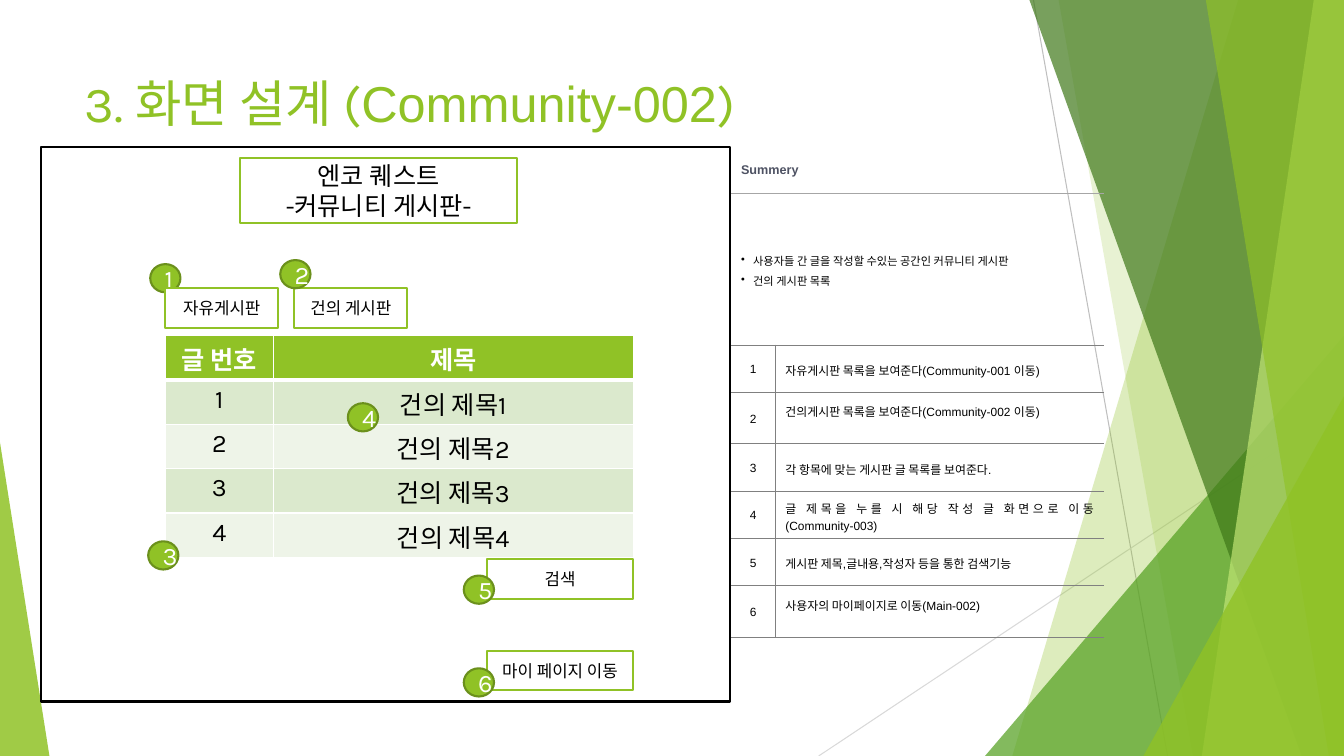
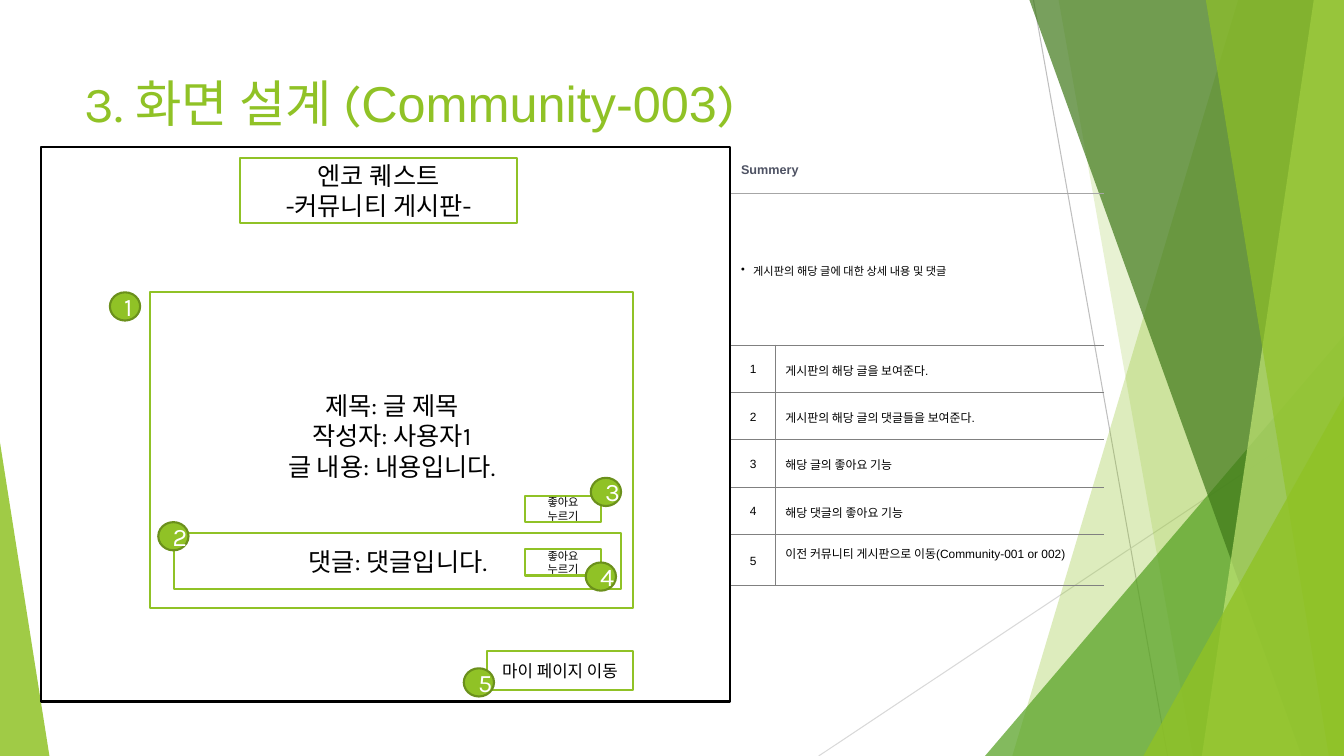
"""Build two screen design slides with a wireframe and a summary table each."""
from dataclasses import dataclass
from typing import Any

from lxml.etree import SubElement
from pptx import Presentation
from pptx.dml.color import RGBColor
from pptx.enum.shapes import MSO_CONNECTOR, MSO_SHAPE
from pptx.enum.text import MSO_ANCHOR, PP_ALIGN
from pptx.oxml.ns import qn
from pptx.slide import Slide, SlideLayout
from pptx.util import Emu, Pt

SCALE = 9144
GREEN, DARK_GREEN, WHITE, BLACK = "90C226", "6B901C", "FFFFFF", "000000"
GRAY, LIGHT_GRAY, SLATE = "808080", "A6A6A6", "4E5263"
STRIPES = ("DBE9CD", "EEF4E8")
KARLA, ARIAL = "Karla", "Arial"
NO_STYLE = "{2D5ABB26-0587-4C30-8999-92F81FD0307C}"
PLAIN_TABLE = {"first_row": False, "horz_banding": False}


@dataclass(frozen=True)
class Ray:
    start: tuple[int, int]
    end: tuple[int, int]
    color: str


@dataclass(frozen=True)
class Band:
    top_left: int
    bottom_left: int
    color: str
    opacity: int


@dataclass(frozen=True)
class Wedge:
    left: int
    top: int
    width: int
    height: int
    tip: float
    color: str
    opacity: int


@dataclass(frozen=True)
class Box:
    left: int
    top: int
    width: int
    height: int
    lines: tuple[str, ...] = ()
    size: int = 18
    lift: int = 0
    outline: str = GREEN


@dataclass(frozen=True)
class Badge:
    number: int
    left: int
    top: int


@dataclass(frozen=True)
class Grid:
    left: int
    top: int
    columns: tuple[int, ...]
    row_height: int
    rows: tuple[tuple[str, str], ...]


@dataclass(frozen=True)
class Note:
    text: str
    raised: bool = False


@dataclass(frozen=True)
class Page:
    code: str
    summary: tuple[str, ...]
    notes: tuple[Note, ...]
    items: tuple[Box | Badge | Grid, ...]


DECORATION = (
    Ray((1025, 0), (1158, 750), "BFBFBF"),
    Ray((1333, 403), (812, 750), "D9D9D9"),
    Band(1228, 1004, GREEN, 30),
    Band(1050, 1183, GREEN, 20),
    Wedge(977, 333, 356, 417, 1, "54A021", 72),
    Band(1021, 1291, "3F7819", 70),
    Band(1303, 1192, "C0E474", 70),
    Band(1196, 1318, GREEN, 65),
    Wedge(1134, 393, 199, 357, 1, GREEN, 80),
    Wedge(0, 439, 49, 311, 0, GREEN, 85),
)
FRAME = Box(41, 146, 683, 550, outline=BLACK)
HEADING = Box(238, 157, 275, 64, ("엔코 퀘스트", "-커뮤니티 게시판-"))
MY_PAGE = Box(483, 646, 145, 39, ("마이 페이지 이동",), 12)
LIKE = ("좋아요 누르기",)

PAGES = (
    Page(
        "Community-002",
        ("사용자들 간 글을 작성할 수있는 공간인 커뮤니티 게시판", "건의 게시판 목록"),
        (
            Note("자유게시판 목록을 보여준다(Community-001 이동)"),
            Note("건의게시판 목록을 보여준다(Community-002 이동)", True),
            Note("각 항목에 맞는 게시판 글 목록를 보여준다."),
            Note("글 제목을 누를 시 해당 작성 글 화면으로 이동(Community-003)"),
            Note("게시판 제목,글내용,작성자 등을 통한 검색기능"),
            Note("사용자의 마이페이지로 이동(Main-002)", True),
        ),
        (
            Badge(1, 149, 262),
            Box(164, 286, 112, 39, ("자유게시판",), 12),
            Box(292, 286, 112, 39, ("건의 게시판",), 12),
            Grid(164, 333, (107, 357), 44,
                 (("글 번호", "제목"), *((f"{n}", f"건의 제목{n}") for n in range(1, 5)))),
            Badge(2, 278, 258),
            Badge(3, 147, 537),
            MY_PAGE,
            Badge(6, 460, 663),
            Box(483, 555, 145, 39, ("검색",), 12),
            Badge(5, 460, 571),
            Badge(4, 345, 400),
        ),
    ),
    Page(
        "Community-003",
        ("게시판의 해당 글에 대한 상세 내용 및 댓글",),
        (
            Note("게시판의 해당 글을 보여준다."),
            Note("게시판의 해당 글의 댓글들을 보여준다."),
            Note("해당 글의 좋아요 기능"),
            Note("해당 댓글의 좋아요 기능"),
            Note("이전 커뮤니티 게시판으로 이동(Community-001 or 002)", True),
        ),
        (
            Badge(1, 109, 290),
            MY_PAGE,
            Badge(5, 460, 663),
            Box(149, 290, 479, 313,
                ("제목: 글 제목", "작성자: 사용자1", "글 내용: 내용입니다."), lift=28),
            Box(173, 529, 443, 55, ("댓글: 댓글입니다.",)),
            Box(521, 545, 75, 26, LIKE, 8),
            Box(521, 492, 75, 26, LIKE, 8),
            Badge(3, 586, 474),
            Badge(2, 157, 518),
            Badge(4, 581, 558),
        ),
    ),
)


def px(*lengths: int) -> list[Emu]:
    """Turn px lengths into EMU."""
    return [Emu(length * SCALE) for length in lengths]


def rgb(color: str) -> RGBColor:
    """Turn a hex string into a colour."""
    return RGBColor.from_string(color)


def assign(target: Any, values: dict[str, Any]) -> None:
    """Set each named value on the target."""
    for name, value in values.items():
        setattr(target, name, value)


def paint(shape: Any, color: str, outline: str | None = None, opacity: int = 100) -> None:
    """Give a shape its fill, outline and opacity."""
    shape.shadow.inherit = False
    shape.fill.solid()
    shape.fill.fore_color.rgb = rgb(color)
    if opacity < 100:
        for node in shape.element.spPr.iter(qn("a:srgbClr")):
            SubElement(node, qn("a:alpha"), val=str(opacity * 1000))
    if outline is None:
        shape.line.fill.background()
    else:
        shape.line.color.rgb = rgb(outline)
        shape.line.width = Pt(1.5)


def write(frame: Any, lines: tuple[str, ...], size: float, font: str = KARLA,
          color: str = BLACK, align: PP_ALIGN = PP_ALIGN.CENTER, bold: bool = False,
          spacing: float = 1.0, bullet: bool = False) -> None:
    """Write one paragraph for each line."""
    frame.word_wrap = True
    for index, line in enumerate(lines):
        para = frame.paragraphs[0] if index == 0 else frame.add_paragraph()
        assign(para, {"alignment": align, "line_spacing": spacing})
        if bullet:
            properties = para._p.get_or_add_pPr()
            indent = 12 * SCALE
            properties.set("marL", str(indent))
            properties.set("indent", str(-indent))
            SubElement(properties, qn("a:buChar"), char="•")
        span = para.add_run()
        span.text = line
        assign(span.font, {"name": font, "size": Pt(size), "bold": bold})
        span.font.color.rgb = rgb(color)


def border(cell: Any, edges: dict[str, tuple[str, float]]) -> None:
    """Draw the given cell edges, keyed L, R, T and B in that order."""
    properties = cell._tc.get_or_add_tcPr()
    for side, (color, width) in edges.items():
        line = SubElement(properties, qn(f"a:ln{side}"), w=str(Pt(width)))
        SubElement(SubElement(line, qn("a:solidFill")), qn("a:srgbClr"), val=color)


def add_table(slide: Slide, left: int, top: int, columns: tuple[int, ...],
              heights: list[int]) -> Any:
    """Add an unstyled table with the given column widths and row heights."""
    place = px(left, top, sum(columns), sum(heights))
    holder = slide.shapes.add_table(len(heights), len(columns), *place)
    for node in holder.element.iter(qn("a:tableStyleId")):
        node.text = NO_STYLE
    table = holder.table
    assign(table, PLAIN_TABLE)
    for column, width in zip(table.columns, px(*columns)):
        column.width = width
    for row, height in zip(table.rows, px(*heights)):
        row.height = height
    return table


def draw_decoration(slide: Slide, layout: SlideLayout) -> None:
    """Draw the shared background and move it to the layout."""
    for placeholder in list(layout.placeholders):
        layout.shapes.element.remove(placeholder.element)
    for item in DECORATION:
        if isinstance(item, Ray):
            shape = slide.shapes.add_connector(MSO_CONNECTOR.STRAIGHT, *px(*item.start, *item.end))
            shape.line.color.rgb = rgb(item.color)
            shape.line.width = Pt(0.75)
            SubElement(shape.element.spPr, qn("a:effectLst"))
        elif isinstance(item, Band):
            builder = slide.shapes.build_freeform(item.top_left, 0, SCALE)
            builder.add_line_segments([(1333, 0), (1333, 750), (item.bottom_left, 750)])
            shape = builder.convert_to_shape()
            paint(shape, item.color, opacity=item.opacity)
        else:
            place = px(item.left, item.top, item.width, item.height)
            shape = slide.shapes.add_shape(MSO_SHAPE.ISOSCELES_TRIANGLE, *place)
            shape.adjustments[0] = item.tip
            paint(shape, item.color, opacity=item.opacity)
        layout.shapes.element.append(shape.element)


def draw_title(slide: Slide, code: str) -> None:
    """Draw the slide title with its screen code."""
    frame = slide.shapes.add_textbox(*px(74, 67, 940, 144)).text_frame
    frame.word_wrap = True
    for text, font in (("3. 화면 설계 (", KARLA), (code, ARIAL), (")", KARLA)):
        span = frame.paragraphs[0].add_run()
        span.text = text
        assign(span.font, {"name": font, "size": Pt(36)})
        span.font.color.rgb = rgb(GREEN)


def draw_summary(slide: Slide, page: Page) -> None:
    """Draw the summary table beside the wireframe."""
    heights = [46, 150, *(51 if note.raised else 47 for note in page.notes)]
    table = add_table(slide, 725, 146, (44, 326), heights)
    edge, head_edge = (GRAY, 0.25), (LIGHT_GRAY, 0.25)
    for row in range(len(heights)):
        for column in range(2):
            cell = table.cell(row, column)
            cell.vertical_anchor = MSO_ANCHOR.MIDDLE
            edges = {"L": edge} if row > 1 and column else {}
            if row:
                edges["T"] = head_edge if row == 1 else edge
            border(cell, edges | {"B": edge if row else head_edge})
            cell.fill.background()
    for row in range(2):
        table.cell(row, 0).merge(table.cell(row, 1))
    write(table.cell(0, 0).text_frame, ("Summery",), 9, ARIAL, SLATE, PP_ALIGN.LEFT, True)
    write(table.cell(1, 0).text_frame, page.summary, 8, ARIAL, align=PP_ALIGN.JUSTIFY,
          spacing=1.2, bullet=True)
    for number, note in enumerate(page.notes, 1):
        label, detail = table.cell(number + 1, 0), table.cell(number + 1, 1)
        write(label.text_frame, (str(number),), 8.5, ARIAL, spacing=1.2)
        write(detail.text_frame, (note.text,), 8.5, ARIAL, align=PP_ALIGN.JUSTIFY, spacing=1.2)
        if note.raised:
            detail.margin_bottom = px(21)[0]


def draw_item(slide: Slide, item: Box | Badge | Grid) -> None:
    """Draw one wireframe element."""
    if isinstance(item, Grid):
        table = add_table(slide, item.left, item.top, item.columns,
                          [item.row_height] * len(item.rows))
        for row, texts in enumerate(item.rows):
            head = row == 0
            for column, text in enumerate(texts):
                cell = table.cell(row, column)
                widths = {"L": 1, "R": 1, "T": 3 if row == 1 else 1, "B": 3 if head else 1}
                border(cell, {side: (WHITE, width) for side, width in widths.items()})
                cell.fill.solid()
                cell.fill.fore_color.rgb = rgb(GREEN if head else STRIPES[(row - 1) % 2])
                write(cell.text_frame, (text,), 18, color=WHITE if head else BLACK, bold=head)
    elif isinstance(item, Badge):
        shape = slide.shapes.add_shape(MSO_SHAPE.OVAL, *px(item.left, item.top, 30, 28))
        paint(shape, GREEN, DARK_GREEN)
        write(shape.text_frame, (str(item.number),), 18, color=WHITE)
    else:
        place = px(item.left, item.top, item.width, item.height)
        shape = slide.shapes.add_shape(MSO_SHAPE.RECTANGLE, *place)
        paint(shape, WHITE, item.outline)
        shape.text_frame.margin_bottom = px(5 + item.lift)[0]
        write(shape.text_frame, item.lines, item.size)


def main() -> None:
    """Build and save the deck."""
    deck = Presentation()
    deck.slide_width, deck.slide_height = px(1333, 750)
    layout = deck.slide_layouts[6]
    for index, page in enumerate(PAGES):
        slide = deck.slides.add_slide(layout)
        if index == 0:
            draw_decoration(slide, layout)
        draw_title(slide, page.code)
        draw_item(slide, FRAME)
        draw_summary(slide, page)
        for item in (HEADING, *page.items):
            draw_item(slide, item)
    deck.save("out.pptx")


if __name__ == "__main__":
    main()
